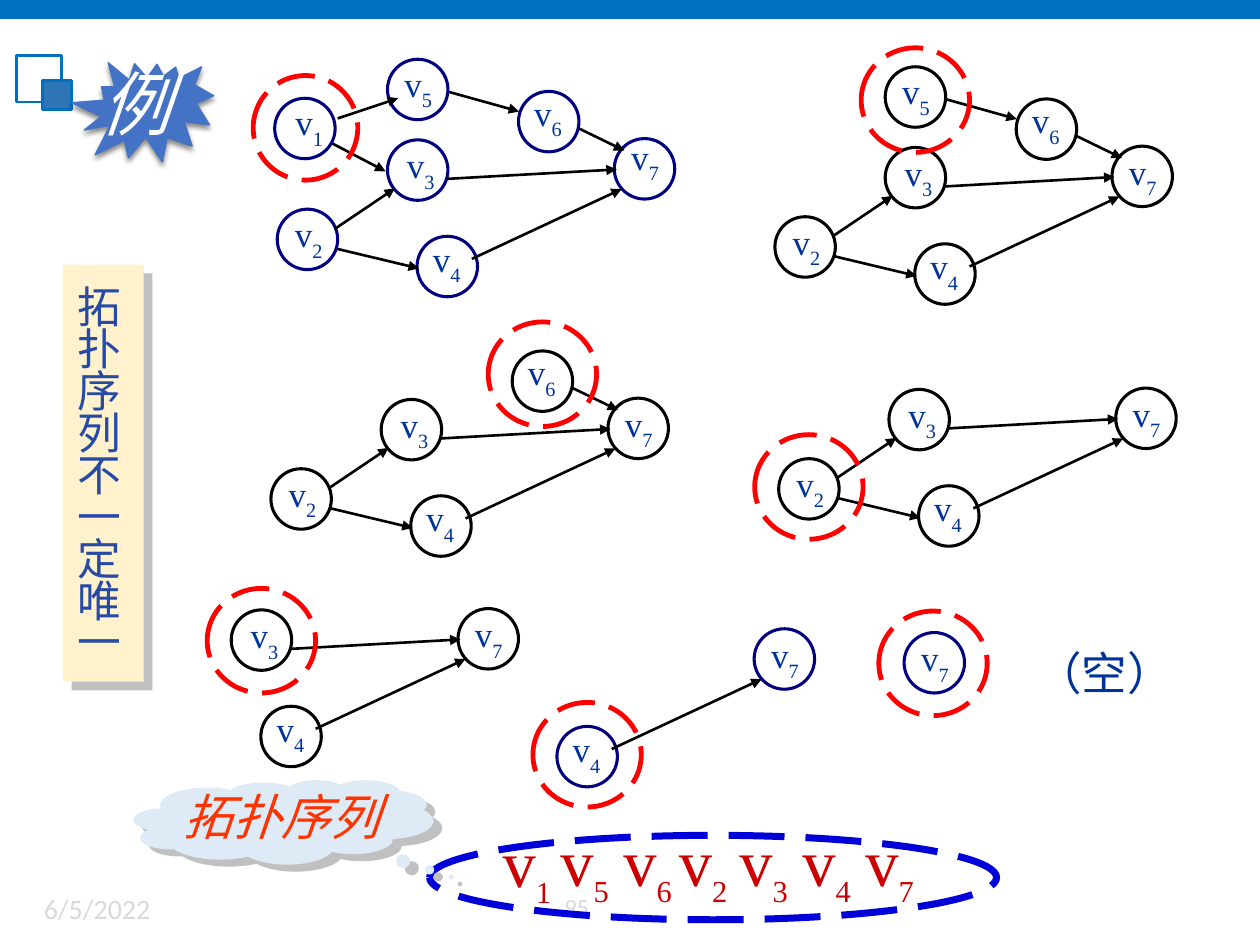
from dataclasses import dataclass
from typing import NamedTuple, Optional

from lxml import etree
from pptx import Presentation
from pptx.dml.color import RGBColor
from pptx.enum.dml import MSO_LINE
from pptx.enum.shapes import MSO_CONNECTOR, MSO_SHAPE
from pptx.enum.text import MSO_ANCHOR, MSO_AUTO_SIZE, PP_ALIGN
from pptx.oxml.ns import qn
from pptx.util import Inches, Pt

RECTANGLE, ELLIPSE = MSO_SHAPE.RECTANGLE, MSO_SHAPE.OVAL
BURST, CLOUD = MSO_SHAPE.EXPLOSION2, MSO_SHAPE.CLOUD_CALLOUT
STRAIGHT, LONG_DASH = MSO_CONNECTOR.STRAIGHT, MSO_LINE.LONG_DASH
LEFT, CENTER = PP_ALIGN.LEFT, PP_ALIGN.CENTER
TOP, MIDDLE = MSO_ANCHOR.TOP, MSO_ANCHOR.MIDDLE
GROW = MSO_AUTO_SIZE.SHAPE_TO_FIT_TEXT

COLUMNS, ROWS = 100, 75
CELL = Inches(10) // COLUMNS
NODE_SIZE, LABEL_SIZE, RING_HEIGHT = 4.8, 4.3, 8.3
SERIF, SANS = "Times New Roman", "Calibri"
NAVY, BLACK, LABEL_BLUE, RED = "000080", "000000", "003399", "FF0000"


class Point(NamedTuple):
    column: float
    row: float

    def shifted(self, column: float, row: float) -> "Point":
        return Point(self.column + column, self.row + row)


class Box(NamedTuple):
    column: float
    row: float
    width: float
    height: float

    def lengths(self) -> list:
        return [grid(value) for value in self]


class Outline(NamedTuple):
    color: str
    width: float
    dash: Optional[int] = None


class Shadow(NamedTuple):
    color: str
    opacity: int
    blur: float
    distance: float
    angle: int


@dataclass
class TextStyle:
    size: float
    color: str
    name: str = SERIF
    italic: bool = False
    alignment: int = LEFT
    anchor: int = TOP
    wrap: bool = True
    spacing: Optional[float] = None


class Node(NamedTuple):
    place: Point
    label_shift: Point


class Edge(NamedTuple):
    ends: str
    start: Point
    finish: Point


@dataclass
class Stage:
    origin: Point
    color: str
    ring_shift: Point
    sequence_place: Point
    ring_width: float = 8.6
    sink_lift: float = 0


NODES = {
    "4": Node(Point(11.1, 2.15), Point(0.2, -0.4)),
    "3": Node(Point(8.75, -5.5), Point(0.5, -0.2)),
    "2": Node(Point(0, 0), Point(0.35, -0.2)),
    "6": Node(Point(19.15, -9.35), Point(0.2, -0.5)),
    "5": Node(Point(8.75, -11.9), Point(0.3, -0.25)),
    "7": Node(Point(26.75, -5.6), Point(0.3, -0.15)),
    "1": Node(Point(-0.2, -8.8), Point(0.6, -0.3)),
}
EDGES = [
    Edge("23", Point(4.6, 1.55), Point(9.35, -1.65)),
    Edge("13", Point(4.4, -5.2), Point(8.6, -3)),
    Edge("24", Point(4.75, 3.15), Point(11.25, 4.7)),
    Edge("56", Point(13.65, -9.3), Point(19.2, -7.75)),
    Edge("37", Point(13.45, -2.4), Point(26.95, -3.15)),
    Edge("67", Point(23.95, -6.4), Point(27.55, -4.65)),
    Edge("47", Point(15.45, 3.95), Point(27.35, -1.6)),
    Edge("15", Point(4.8, -7.2), Point(9.6, -8.8)),
]
SEQUENCE = "1562347"
STAGES = [
    Stage(Point(22, 16.6), NAVY, Point(-1.7, -1.8), Point(38.9, 64.7), 8.3, 0.6),
    Stage(Point(61.5, 17.2), BLACK, Point(-1.9, -1.5), Point(43.5, 64.6)),
    Stage(Point(21.5, 37.2), BLACK, Point(-1.9, -2.3), Point(48.5, 64.6)),
    Stage(Point(61.8, 36.4), BLACK, Point(-1.9, -1.9), Point(52.9, 64.6)),
    Stage(Point(9.6, 53.9), BLACK, Point(-1.9, -1.7), Point(57.7, 64.6)),
    Stage(Point(33.1, 55.5), NAVY, Point(-1.9, -1.9), Point(62.7, 64.6)),
    Stage(Point(45, 55.8), NAVY, Point(-2, -1.7), Point(67.7, 64.6)),
]
NODE_LABEL = TextStyle(20, LABEL_BLUE, alignment=CENTER, wrap=False)
SEQUENCE_LABEL = TextStyle(38, "CC0000")


def grid(cells: float) -> int:
    return round(cells * CELL)


def rgb(color: str) -> RGBColor:
    return RGBColor.from_string(color)


def add_figure(slide, kind, box: Box, fill: Optional[str] = None,
               outline: Optional[Outline] = None, shadow: Optional[Shadow] = None):
    shape = slide.shapes.add_shape(kind, *box.lengths())
    if fill:
        shape.fill.solid()
        shape.fill.fore_color.rgb = rgb(fill)
    else:
        shape.fill.background()
    if outline:
        shape.line.color.rgb = rgb(outline.color)
        shape.line.width = Pt(outline.width)
        if outline.dash:
            shape.line.dash_style = outline.dash
    else:
        shape.line.fill.background()
    shape.shadow.inherit = False
    if shadow:
        effects = shape._element.spPr.find(qn("a:effectLst"))
        outer = etree.SubElement(
            effects, qn("a:outerShdw"), blurRad=str(Pt(shadow.blur)),
            dist=str(Pt(shadow.distance)), dir=str(shadow.angle * 60000),
            algn="ctr", rotWithShape="0")
        color = etree.SubElement(outer, qn("a:srgbClr"), val=shadow.color)
        etree.SubElement(color, qn("a:alpha"), val=str(shadow.opacity * 1000))
    return shape


def add_run(paragraph, text: str, style: TextStyle, size: float):
    run = paragraph.add_run()
    run.text = text
    values = {"size": Pt(size), "name": style.name, "italic": style.italic}
    for attribute, value in values.items():
        setattr(run.font, attribute, value)
    run.font.color.rgb = rgb(style.color)
    return run


def add_text(slide, box: Box, lines: list, style: TextStyle,
             subscript: str = "", subscript_size: float = 0) -> None:
    frame = slide.shapes.add_textbox(*box.lengths()).text_frame
    values = {"word_wrap": style.wrap, "auto_size": GROW, "vertical_anchor": style.anchor}
    for attribute, value in values.items():
        setattr(frame, attribute, value)
    for index, line in enumerate(lines):
        paragraph = frame.add_paragraph() if index else frame.paragraphs[0]
        paragraph.alignment = style.alignment
        paragraph.line_spacing = style.spacing
        add_run(paragraph, line, style, style.size)
    if subscript:
        run = add_run(paragraph, subscript, style, subscript_size)
        run._r.get_or_add_rPr().set("baseline", "-30000")


def add_arrow(slide, start: Point, finish: Point) -> None:
    connector = slide.shapes.add_connector(
        STRAIGHT, *(grid(value) for value in (*start, *finish)))
    connector.line.color.rgb = rgb(BLACK)
    connector.line.width = Pt(1.5)
    etree.SubElement(connector.line._get_or_add_ln(), qn("a:tailEnd"), type="triangle")
    etree.SubElement(connector._element.spPr, qn("a:effectLst"))


def add_stage(slide, stage: Stage, remaining: str) -> None:
    for number, node in NODES.items():
        if number in remaining:
            place = stage.origin.shifted(*node.place)
            label = place.shifted(*node.label_shift)
            if number == "7":
                label = label.shifted(0, -stage.sink_lift)
            add_figure(slide, ELLIPSE, Box(*place, NODE_SIZE, NODE_SIZE),
                       outline=Outline(stage.color, 1.75))
            add_text(slide, Box(*label, LABEL_SIZE, LABEL_SIZE), ["v"], NODE_LABEL, number, 20)
    for edge in EDGES:
        if set(edge.ends) <= set(remaining):
            add_arrow(slide, stage.origin.shifted(*edge.start), stage.origin.shifted(*edge.finish))
    ring = stage.origin.shifted(*NODES[remaining[0]].place).shifted(*stage.ring_shift)
    add_figure(slide, ELLIPSE, Box(*ring, stage.ring_width, RING_HEIGHT),
               outline=Outline(RED, 2.75, LONG_DASH))
    add_text(slide, Box(*stage.sequence_place, 6, 7.3), ["v"], SEQUENCE_LABEL, remaining[0], 30)


def main() -> None:
    presentation = Presentation()
    presentation.slide_width, presentation.slide_height = grid(COLUMNS), grid(ROWS)
    slide = presentation.slides.add_slide(presentation.slide_layouts[6])
    accent = Outline("0070C0", 1.5)
    add_figure(slide, RECTANGLE, Box(0, 0, COLUMNS, 1.5), "0070C0")
    add_figure(slide, RECTANGLE, Box(1.3, 4.4, 3.6, 3.7), outline=accent)
    add_figure(slide, RECTANGLE, Box(3.4, 6.4, 2.3, 2.3), "2E75B6", accent)
    add_text(slide, Box(2.5, 70.3, 18.4, 4), ["6/5/2022"], TextStyle(16, "D9D9D9", SANS))
    add_text(slide, Box(43.8, 70.3, 6.2, 3.8), ["95"], TextStyle(14, "D9D9D9", SANS))
    burst = add_figure(slide, BURST, Box(6, 3.7, 10.7, 9.8), "4472C4",
                       Outline("4472C4", 0.79), Shadow(BLACK, 45, 3, 2.4, 90))
    burst.rotation = 203.9
    add_text(slide, Box(7, 4.3, 11.2, 7.7), ["例"],
             TextStyle(40, "FFFFFF", italic=True, anchor=MIDDLE))
    for index, stage in enumerate(STAGES):
        add_stage(slide, stage, SEQUENCE[index:])
    add_text(slide, Box(81.2, 50.7, 12.9, 5.3), ["（空）"],
             TextStyle(26, LABEL_BLUE, alignment=CENTER, anchor=MIDDLE, wrap=False))
    add_figure(slide, ELLIPSE, Box(34.1, 66.3, 45, 6.7), outline=Outline("0000D8", 4, LONG_DASH))
    cloud = add_figure(slide, CLOUD, Box(10.6, 61.9, 23.8, 6.7), "DEEBF7",
                       shadow=Shadow("C0C0C0", 100, 0, 6.4, 39))
    cloud.adjustments[0], cloud.adjustments[1] = 0.56, 0.65
    add_text(slide, Box(13.6, 61.9, 20.9, 5.7), ["拓扑序列"],
             TextStyle(28, "FF3300", italic=True, anchor=MIDDLE))
    add_figure(slide, RECTANGLE, Box(5, 21, 6.4, 33.1), "FFF2CC",
               shadow=Shadow("C0C0C0", 100, 0, 7.1, 45))
    add_text(slide, Box(5.2, 22.5, 5.6, 31.3), ["拓", "扑", "序", "列", "不", "一定", "唯一"],
             TextStyle(25, "264AA5", spacing=0.8))
    presentation.save("out.pptx")


if __name__ == "__main__":
    main()
